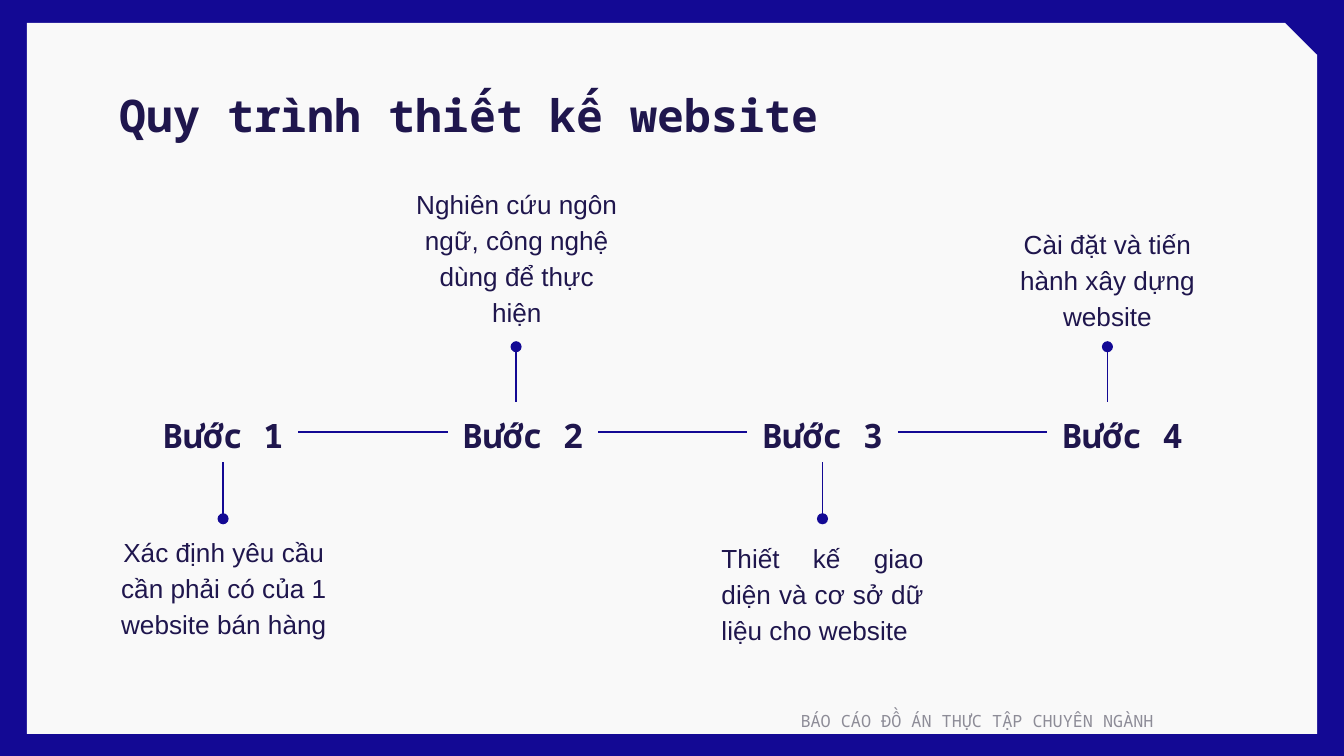
from lxml.etree import SubElement
from pptx import Presentation
from pptx.dml.color import RGBColor
from pptx.enum.shapes import MSO_CONNECTOR, MSO_SHAPE
from pptx.enum.text import MSO_ANCHOR, MSO_AUTO_SIZE, PP_ALIGN
from pptx.oxml.ns import qn
from pptx.util import Inches, Pt

COLORS = {"blue": "130994", "panel": "F9F9F9", "text": "1F164D", "footer": "8D8C97"}
HEADING_FONT = "Noto Sans Mono"
BODY_FONT = "Arial"

STEP_LEFT, STEP_TOP, STEP_PITCH = 1.1, 2.99, 2.23
STEP_WIDTH, STEP_HEIGHT = 1.12, 0.45
TOP, LEFT, BOTTOM, RIGHT = range(4)  # connection sites

# Description, its box, whether it sits above the step, alignment, stem position
STEPS = [
    ("Xác định yêu cầu cần phải có của 1 website bán hàng",
     (0.79, 3.86, 1.75, 0.86), False, PP_ALIGN.CENTER, 1.66),
    ("Nghiên cứu ngôn ngữ, công nghệ dùng để thực hiện",
     (2.97, 1.68, 1.75, 0.86), True, PP_ALIGN.CENTER, 3.84),
    ("Thiết kế giao diện và cơ sở dữ liệu cho website",
     (5.27, 3.9, 1.7, 0.86), False, PP_ALIGN.JUSTIFY, 6.12),
    ("Cài đặt và tiến hành xây dựng website",
     (7.47, 1.61, 1.54, 0.96), True, PP_ALIGN.CENTER, 8.24),
]


def rgb(name):
    return RGBColor.from_string(COLORS[name])


def write_text(shape, text, *, size=14, font=BODY_FONT, color="text", bold=False,
               align=PP_ALIGN.CENTER, anchor=MSO_ANCHOR.TOP, spacing=1.15, inset=0.1):
    frame = shape.text_frame
    frame.word_wrap = True
    frame.auto_size = MSO_AUTO_SIZE.NONE
    frame.vertical_anchor = anchor
    frame.margin_left = frame.margin_right = Inches(0.1)
    frame.margin_top = frame.margin_bottom = Inches(inset)
    paragraph = frame.paragraphs[0]
    paragraph.alignment = align
    paragraph.line_spacing = spacing
    run = paragraph.add_run()
    run.text = text
    run.font.name = font
    run.font.size = Pt(size)
    run.font.bold = bold
    run.font.color.rgb = rgb(color)


def add_text(slide, box, text, **text_format):
    shape = slide.shapes.add_textbox(*map(Inches, box))
    write_text(shape, text, **text_format)
    return shape


def add_line(slide, start, end, dot=False):
    connector = slide.shapes.add_connector(
        MSO_CONNECTOR.STRAIGHT, *map(Inches, (*start, *end)))
    connector.line.color.rgb = rgb("blue")
    connector.line.width = Pt(0.75)
    properties = connector.element.spPr
    if dot:
        SubElement(properties.find(qn("a:ln")), qn("a:tailEnd"), type="oval")
    SubElement(properties, qn("a:effectLst"))
    return connector


def add_panel(slide):
    panel = slide.shapes.add_shape(
        MSO_SHAPE.SNIP_1_RECTANGLE, *map(Inches, (0.2, 0.17, 9.6, 5.29)))
    panel.adjustments[0] = 0.045
    panel.shadow.inherit = False
    panel.fill.solid()
    panel.fill.fore_color.rgb = rgb("panel")
    panel.line.fill.background()
    # The panel belongs behind the title
    slide.shapes.title.element.addprevious(panel.element)


def add_title(slide, text):
    title = slide.shapes.title
    title.left, title.top, title.width, title.height = map(
        Inches, (0.79, 0.49, 5.76, 0.63))
    write_text(title, text, size=24, font=HEADING_FONT, bold=True, align=PP_ALIGN.LEFT)


def add_step(slide, index):
    description, box, above, align, stem_x = STEPS[index]
    left = STEP_LEFT + index * STEP_PITCH
    step = add_text(slide, (left, STEP_TOP, STEP_WIDTH, STEP_HEIGHT),
                    f"Bước {index + 1}", size=18, font=HEADING_FONT, bold=True,
                    anchor=MSO_ANCHOR.MIDDLE)
    add_text(slide, box, description, align=align,
             anchor=MSO_ANCHOR.BOTTOM if above else MSO_ANCHOR.TOP)

    # Stem ending in a dot; the upper stems stand off the step's centre
    if above:
        add_line(slide, (stem_x, STEP_TOP), (stem_x, 2.58), dot=True)
    else:
        stem = add_line(slide, (stem_x, STEP_TOP + STEP_HEIGHT), (stem_x, 3.86), dot=True)
        stem.begin_connect(step, BOTTOM)
    return step


def join_steps(slide, first, second):
    line = add_line(slide, (0, 0), (1, 0))
    line.begin_connect(first, RIGHT)
    line.end_connect(second, LEFT)


def main():
    # Widescreen, 16:9
    presentation = Presentation()
    presentation.slide_width = Inches(10)
    presentation.slide_height = Inches(10 * 9 / 16)
    slide = presentation.slides.add_slide(presentation.slide_layouts[5])

    # Background, panel and title
    slide.background.fill.solid()
    slide.background.fill.fore_color.rgb = rgb("blue")
    add_panel(slide)
    add_title(slide, "Quy trình thiết kế website")

    # Process steps and the lines between them
    steps = [add_step(slide, index) for index in range(len(STEPS))]
    for first, second in zip(steps, steps[1:]):
        join_steps(slide, first, second)

    # Footer
    add_text(slide, (5.83, 5.22, 2.85, 0.29), "BÁO CÁO ĐỒ ÁN THỰC TẬP CHUYÊN NGÀNH",
             size=9, font=HEADING_FONT, color="footer", align=PP_ALIGN.RIGHT,
             anchor=MSO_ANCHOR.MIDDLE, spacing=1.0, inset=0.05)

    presentation.save("out.pptx")


if __name__ == "__main__":
    main()
